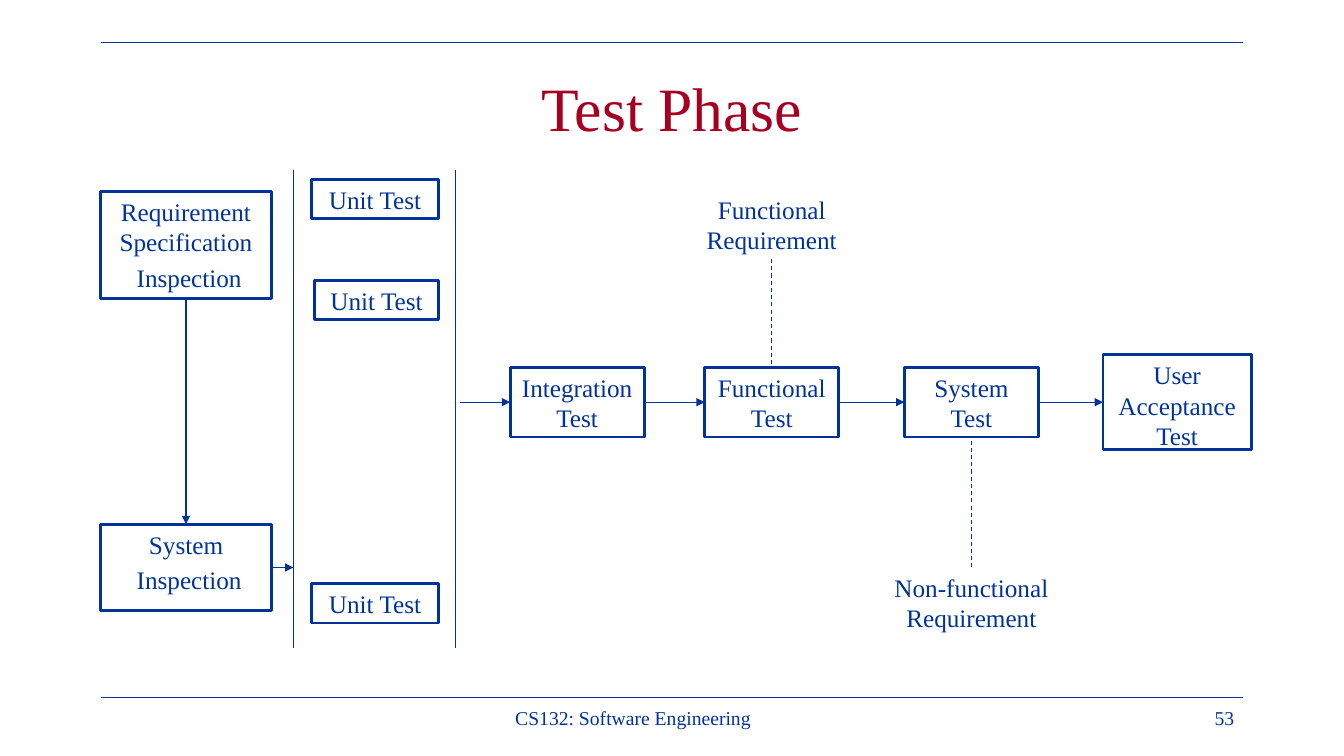
from dataclasses import dataclass

from lxml import etree
from pptx import Presentation
from pptx.dml.color import RGBColor
from pptx.enum.dml import MSO_LINE
from pptx.enum.shapes import MSO_CONNECTOR, MSO_SHAPE
from pptx.enum.text import MSO_ANCHOR, PP_ALIGN
from pptx.oxml.ns import qn
from pptx.util import Inches, Pt

STRAIGHT = MSO_CONNECTOR.STRAIGHT
RECTANGLE = MSO_SHAPE.RECTANGLE
DASH = MSO_LINE.DASH
TOP, MIDDLE = MSO_ANCHOR.TOP, MSO_ANCHOR.MIDDLE
CENTER, RIGHT = PP_ALIGN.CENTER, PP_ALIGN.RIGHT
TITLE_ONLY = 5
# Connection sites of a rectangle
SITE_TOP, SITE_LEFT, SITE_BOTTOM, SITE_RIGHT = range(4)


@dataclass(frozen=True)
class Theme:
    font: str = "Times New Roman"
    blue: RGBColor = RGBColor(0x00, 0x33, 0x99)
    red: RGBColor = RGBColor(0xA5, 0x00, 0x21)
    white: RGBColor = RGBColor(0xFF, 0xFF, 0xFF)
    title_size: int = 44
    body_size: int = 18
    footer_size: int = 14
    border: float = 2
    wall: float = 1
    thin: float = 0.75
    space_before: float = 3.6


THEME = Theme()


def cells(count):
    """Length of a number of grid cells, ten to the inch."""
    return Inches(count / 10)


@dataclass(frozen=True)
class Box:
    """An area of the slide, in grid cells."""
    left: float
    top: float
    width: float
    height: float

    @property
    def right(self):
        return self.left + self.width

    @property
    def bottom(self):
        return self.top + self.height

    def inner(self, x, y, width, height):
        return Box(self.left + x, self.top + y, width, height)

    def lengths(self):
        return [cells(n) for n in (self.left, self.top, self.width, self.height)]


def write(frame, paragraphs, size, color=THEME.blue, align=CENTER, anchor=TOP):
    frame.word_wrap = True
    frame.vertical_anchor = anchor
    for index, text in enumerate(paragraphs):
        paragraph = frame.add_paragraph() if index else frame.paragraphs[0]
        paragraph.alignment = align
        if index:
            paragraph.space_before = Pt(THEME.space_before)
        run = paragraph.add_run()
        run.text = text
        run.font.name = THEME.font
        run.font.size = Pt(size)
        run.font.color.rgb = color


def add_box(slide, box, *paragraphs, border=THEME.blue):
    shape = slide.shapes.add_shape(RECTANGLE, *box.lengths())
    shape.shadow.inherit = False
    shape.fill.solid()
    shape.fill.fore_color.rgb = THEME.white
    shape.line.color.rgb = border
    shape.line.width = Pt(THEME.border)
    write(shape.text_frame, paragraphs, THEME.body_size)
    return shape


def add_line(slide, start=(0, 0), end=(0, 0), width=THEME.thin, dash=None, arrow=False):
    connector = slide.shapes.add_connector(
        STRAIGHT, *[cells(n) for n in (*start, *end)])
    connector.line.color.rgb = THEME.blue
    connector.line.width = Pt(width)
    if dash:
        connector.line.dash_style = dash
    properties = connector._element.spPr
    if arrow:
        etree.SubElement(properties.find(qn("a:ln")), qn("a:tailEnd"), type="triangle")
    etree.SubElement(properties, qn("a:effectLst"))
    return connector


def link(slide, source, source_site, target, target_site, **style):
    """Join two shapes at their connection sites."""
    connector = add_line(slide, **style)
    connector.begin_connect(source, source_site)
    connector.end_connect(target, target_site)


def add_title(slide, box, text):
    title = slide.shapes.title
    title.left, title.top, title.width, title.height = box.lengths()
    write(title.text_frame, [text], THEME.title_size, THEME.red, anchor=MIDDLE)


def add_rules_and_footer(slide, box, course, number):
    for y in (box.top, box.bottom):
        add_line(slide, (box.left, y), (box.right, y))
    footers = ((course, 30, 45.6, CENTER), (number, 85.6, 27.8, RIGHT))
    for text, x, width, align in footers:
        area = box.inner(x, box.height + 0.3, width, 3.9)
        footer = slide.shapes.add_textbox(*area.lengths())
        write(footer.text_frame, [text], THEME.footer_size, align=align)


def add_inspections(slide, box, lane_left):
    """Stack both inspections and lead the last one to the unit test lane."""
    system_height = 8.6
    requirement = add_box(slide, box.inner(0, 0, box.width, 10.6),
                          "Requirement Specification", " Inspection")
    system = add_box(
        slide, box.inner(0, box.height - system_height, box.width, system_height),
        "System", " Inspection")
    link(slide, requirement, SITE_BOTTOM, system, SITE_TOP, arrow=True)
    middle = box.bottom - system_height / 2
    add_line(slide, (box.right, middle), (lane_left, middle), arrow=True)


def add_unit_tests(slide, box):
    for x in (box.left, box.right):
        add_line(slide, (x, box.top), (x, box.bottom), width=THEME.wall)
    right_edge = 14.4
    for y, width in ((0.9, 12.6), (10.9, 12.3), (41, 12.6)):
        add_box(slide, box.inner(right_edge - width, y, width, 3.9), "Unit Test")


def add_test_stages(slide, box):
    """Chain the stages along one axis, with requirements above and below."""
    axis, label_height, lead = 21.1, 6.9, 5
    stages = (
        ("Integration Test", 0, 13.3, 6.9),
        ("Functional Test", 19.3, 13.3, 6.9),
        ("System Test", 39.1, 13.3, 6.9),
        ("User Acceptance Test", 58.8, 14.7, 9.4),
    )
    areas = [box.inner(x, axis - height / 2, width, height)
             for _, x, width, height in stages]
    shapes = [add_box(slide, area, stage[0]) for area, stage in zip(areas, stages)]

    entry = box.top + axis
    add_line(slide, (box.left - lead, entry), (box.left, entry), arrow=True)
    for source, target in zip(shapes, shapes[1:]):
        link(slide, source, SITE_RIGHT, target, SITE_LEFT, arrow=True)

    labels = (
        ("Functional Requirement", 1, 15.6, box.top, SITE_BOTTOM, SITE_TOP),
        ("Non-functional Requirement", 2, 18.4, box.bottom - label_height,
         SITE_TOP, SITE_BOTTOM),
    )
    for text, index, width, top, label_site, stage_site in labels:
        center = areas[index].left + areas[index].width / 2
        label = add_box(slide, Box(center - width / 2, top, width, label_height),
                        text, border=THEME.white)
        link(slide, label, label_site, shapes[index], stage_site, dash=DASH)


def main():
    presentation = Presentation()
    presentation.slide_width = Inches(13.33)
    presentation.slide_height = Inches(7.5)
    slide = presentation.slides.add_slide(presentation.slide_layouts[TITLE_ONLY])

    lane = Box(29.1, 16.9, 16.1, 47.4)
    add_rules_and_footer(slide, Box(10, 4.2, 113.3, 65),
                         "CS132: Software Engineering", "53")
    add_title(slide, Box(10, 4.4, 113.3, 12.5), "Test Phase")
    add_inspections(slide, Box(10, 19, 16.9, 41.6), lane.left)
    add_unit_tests(slide, lane)
    add_test_stages(slide, Box(50.6, 18.8, 73.5, 44.4))
    presentation.save("out.pptx")


if __name__ == "__main__":
    main()
